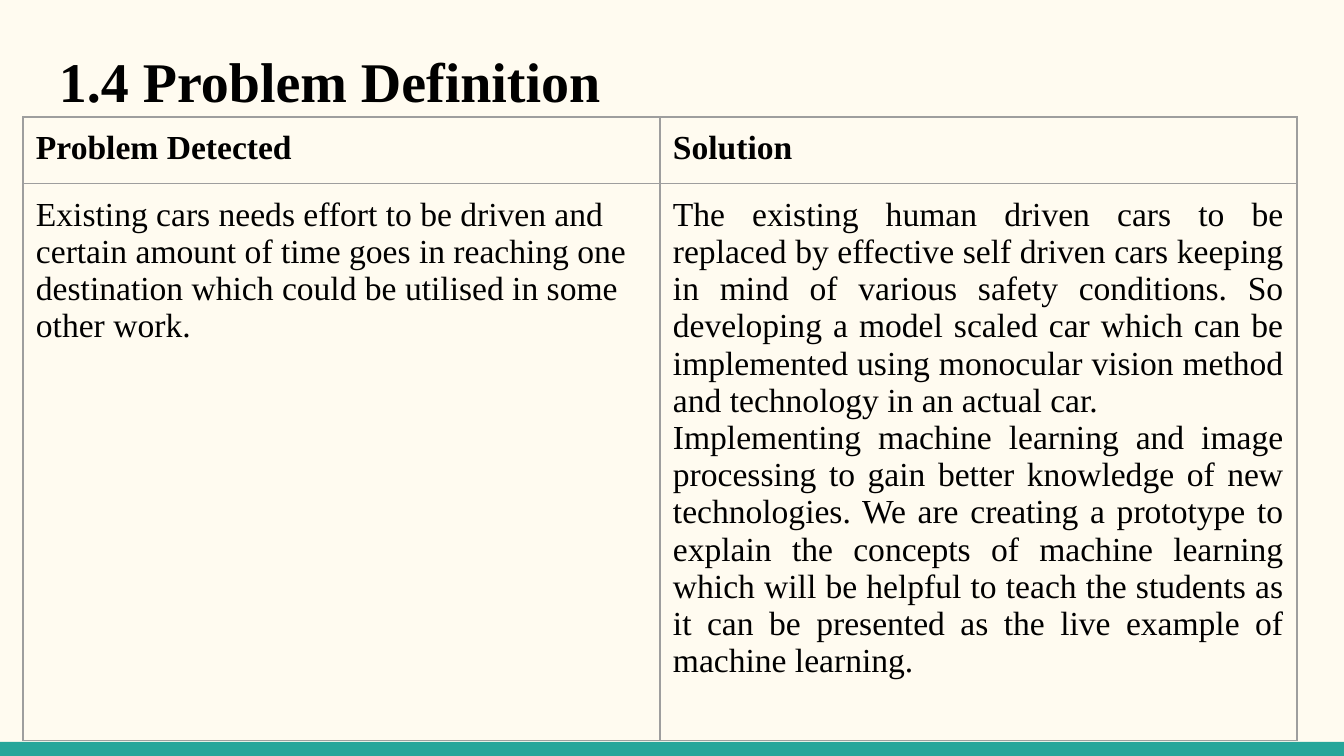
"""Build the Problem Definition slide."""
from lxml.etree import SubElement
from pptx import Presentation
from pptx.dml.color import RGBColor
from pptx.enum.shapes import MSO_SHAPE
from pptx.enum.text import MSO_ANCHOR, PP_ALIGN
from pptx.oxml.ns import qn
from pptx.util import Emu, Pt

HEADING = "1.4 Problem Definition"
COLUMNS = [
    ("Problem Detected", PP_ALIGN.LEFT, [
        "Existing cars needs effort to be driven and certain amount of time goes in "
        "reaching one destination which could be utilised in some other work.",
    ]),
    ("Solution", PP_ALIGN.JUSTIFY, [
        "The existing human driven cars to be replaced by effective self driven cars "
        "keeping in mind of various safety conditions. So developing a model scaled car "
        "which can be implemented using monocular vision method and technology in an "
        "actual car.",
        "Implementing machine learning and image processing to gain better knowledge of "
        "new technologies. We are creating a prototype to explain the concepts of machine "
        "learning which will be helpful to teach the students as it can be presented as "
        "the live example of machine learning.",
    ]),
]
FONT = "Times New Roman"
CREAM, TEAL, BLACK, GREY = "FFFBF0", "26A69A", "000000", "9E9E9E"
WIDTH, HEIGHT = 1344, 756
BAND_HEIGHT = 14
INSET = 13
TABLE_LEFT, TABLE_TOP, COLUMN_WIDTH = 23, 117, 637
ROW_HEIGHTS = [64, 557]


def px(length):
    """Turn slide pixels into EMU."""
    return Emu(round(length * 914400 / 134.4))


def rgb(code):
    """Turn a hex string into a colour."""
    return RGBColor.from_string(code)


def write(frame, passages, size, bold, align=PP_ALIGN.LEFT):
    """Write each passage as one paragraph."""
    frame.word_wrap = True
    for index, passage in enumerate(passages):
        paragraph = frame.paragraphs[0] if index == 0 else frame.add_paragraph()
        paragraph.alignment = align
        run = paragraph.add_run()
        run.text = passage
        run.font.name = FONT
        run.font.size = Pt(size)
        run.font.bold = bold
        run.font.color.rgb = rgb(BLACK)


def add_borders(cell):
    """Draw a thin line on all four sides of a cell."""
    properties = cell._tc.get_or_add_tcPr()
    for position, side in enumerate(("a:lnL", "a:lnR", "a:lnT", "a:lnB")):
        line = SubElement(properties, qn(side), w=str(Pt(0.75)))
        fill = SubElement(line, qn("a:solidFill"))
        SubElement(fill, qn("a:srgbClr"), val=GREY)
        properties.insert(position, line)


def fill_cell(cell, passages, bold, align):
    """Set the look and text of a table cell."""
    cell.margin_left = cell.margin_right = px(INSET)
    cell.margin_top = cell.margin_bottom = px(INSET)
    cell.vertical_anchor = MSO_ANCHOR.TOP
    cell.fill.background()
    add_borders(cell)
    write(cell.text_frame, passages, 18, bold, align)


def main():
    """Assemble and save the slide."""
    deck = Presentation()
    deck.slide_width, deck.slide_height = px(WIDTH), px(HEIGHT)
    slide = deck.slides.add_slide(deck.slide_layouts[6])
    slide.background.fill.solid()
    slide.background.fill.fore_color.rgb = rgb(CREAM)

    band = slide.shapes.add_shape(MSO_SHAPE.RECTANGLE, 0, px(HEIGHT - BAND_HEIGHT),
                                  px(WIDTH), px(BAND_HEIGHT))
    band.shadow.inherit = False
    band.fill.solid()
    band.fill.fore_color.rgb = rgb(TEAL)
    band.line.fill.background()

    heading = slide.shapes.add_textbox(px(46), px(27), px(1252), px(90)).text_frame
    heading.margin_left = heading.margin_right = px(INSET)
    heading.margin_top, heading.margin_bottom = px(20), px(6)
    heading.vertical_anchor = MSO_ANCHOR.TOP
    write(heading, [HEADING], 30, True)

    table = slide.shapes.add_table(
        len(ROW_HEIGHTS), len(COLUMNS), px(TABLE_LEFT), px(TABLE_TOP),
        px(COLUMN_WIDTH * len(COLUMNS)), px(sum(ROW_HEIGHTS))).table
    table.first_row = table.horz_banding = False
    for row, height in zip(table.rows, ROW_HEIGHTS):
        row.height = px(height)
    for index, (label, align, passages) in enumerate(COLUMNS):
        table.columns[index].width = px(COLUMN_WIDTH)
        fill_cell(table.cell(0, index), [label], True, PP_ALIGN.LEFT)
        fill_cell(table.cell(1, index), passages, False, align)

    deck.save("out.pptx")


if __name__ == "__main__":
    main()
